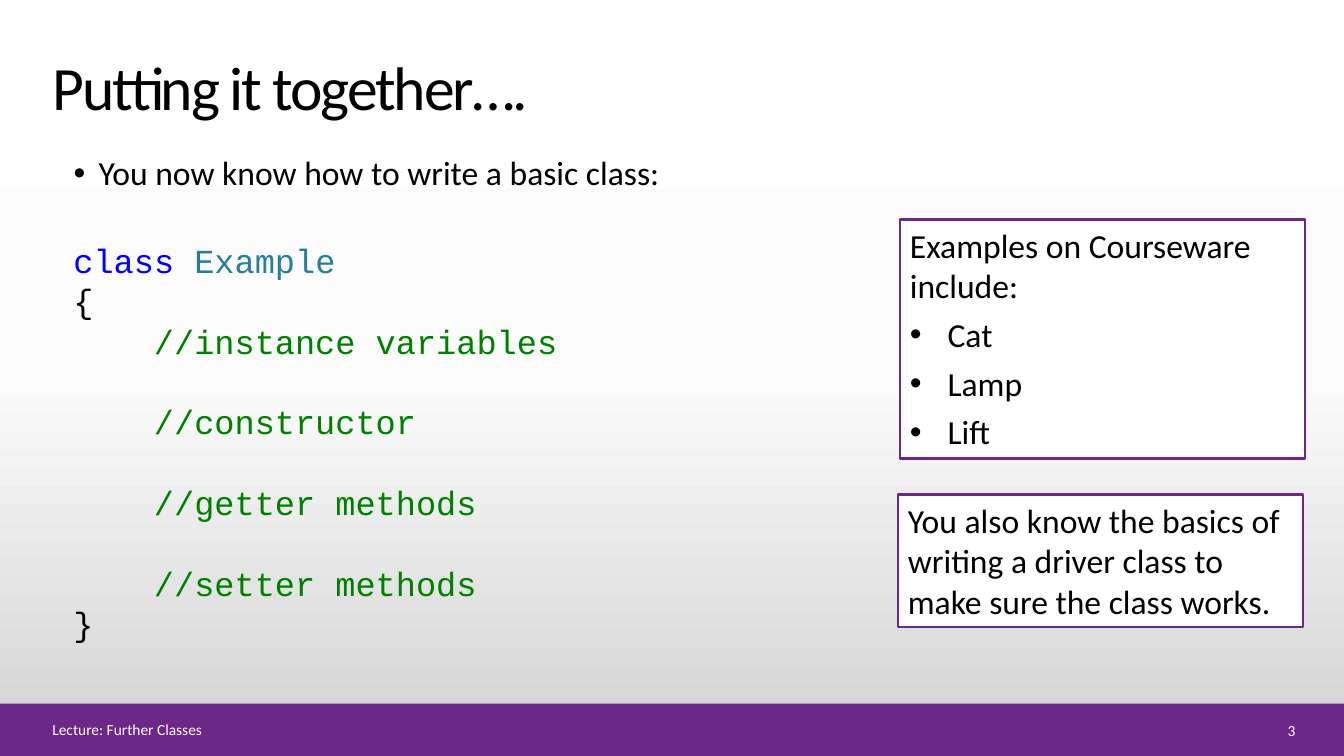
from copy import deepcopy
from dataclasses import dataclass

from lxml import etree
from pptx import Presentation
from pptx.dml.color import RGBColor
from pptx.enum.shapes import MSO_SHAPE
from pptx.enum.text import MSO_ANCHOR, MSO_AUTO_SIZE, PP_ALIGN
from pptx.oxml.ns import qn
from pptx.util import Cm, Pt

RECTANGLE = MSO_SHAPE.RECTANGLE
TOP, MIDDLE, BOTTOM = MSO_ANCHOR.TOP, MSO_ANCHOR.MIDDLE, MSO_ANCHOR.BOTTOM
LEFT, RIGHT = PP_ALIGN.LEFT, PP_ALIGN.RIGHT
NO_AUTOFIT = MSO_AUTO_SIZE.NONE

BLACK, WHITE, PURPLE = "000000", "FFFFFF", "6C2787"
KEYWORD, TYPE_NAME, COMMENT = "0000FF", "267F99", "008000"
CODE_PITCH = 28.8  # points from one code line to the next
CODE_INDENT = 2.03  # four characters, in cm


@dataclass
class Line:
    spans: list[tuple[str, str]]  # text and colour
    indent: float = 0
    before: float = 0
    bullet: bool = False
    align: PP_ALIGN = LEFT
    pitch: float | None = None


@dataclass
class Panel:
    place: tuple[float, float, float, float]  # left, top, width, height in cm
    lines: list[Line]
    size: float = 24
    font: str = "Calibri"
    anchor: MSO_ANCHOR = TOP
    framed: bool = False


def colour(value: str) -> RGBColor:
    return RGBColor.from_string(value)


def apply(target, values: dict) -> None:
    for name, value in values.items():
        setattr(target, name, value)


def place(box, lengths: tuple[float, float, float, float]) -> None:
    apply(box, dict(zip(("left", "top", "width", "height"), map(Cm, lengths))))


def write_line(para, line: Line, panel: Panel) -> None:
    apply(para, {
        "alignment": line.align,
        "space_before": Pt(line.before),
        "line_spacing": Pt(line.pitch) if line.pitch else 1.0,
    })
    settings = para._p.get_or_add_pPr()
    settings.set("marL", str(Cm(line.indent)))
    settings.set("indent", str(-Cm(line.indent) if line.bullet else 0))
    if line.bullet:
        etree.SubElement(settings, qn("a:buFont")).set("typeface", "Arial")
        etree.SubElement(settings, qn("a:buChar")).set("char", "•")
    for text, shade in line.spans:
        span = para.add_run()
        span.text = text
        apply(span.font, {"name": panel.font, "size": Pt(panel.size)})
        span.font.color.rgb = colour(shade)


def fill_panel(box, panel: Panel) -> None:
    place(box, panel.place)
    frame = box.text_frame
    apply(frame, {"word_wrap": True, "auto_size": NO_AUTOFIT, "vertical_anchor": panel.anchor})
    for number, line in enumerate(panel.lines):
        para = frame.add_paragraph() if number else frame.paragraphs[0]
        write_line(para, line, panel)


def add_rectangle(page, lengths: tuple[float, float, float, float], fill: str):
    box = page.shapes.add_shape(RECTANGLE, *map(Cm, lengths))
    box.shadow.inherit = False
    box.fill.solid()
    box.fill.fore_color.rgb = colour(fill)
    box.line.fill.background()
    return box


def add_panel(page, panel: Panel) -> None:
    if panel.framed:
        box = add_rectangle(page, panel.place, WHITE)
        box.line.color.rgb = colour(PURPLE)
        box.line.width = Pt(2)
    else:
        box = page.shapes.add_textbox(*map(Cm, panel.place))
    fill_panel(box, panel)


def paint_background(page) -> None:
    fill = page.background.fill
    fill.gradient()
    fill.gradient_angle = 270
    stops = page.element.find(".//" + qn("a:gsLst"))
    stops.append(deepcopy(stops[-1]))
    shades = ((0, WHITE), (0.5, "FBFBFB"), (1, "D1D1D1"))
    for stop, (position, shade) in zip(fill.gradient_stops, shades):
        stop.position = position
        stop.color.rgb = colour(shade)


def code_line(*spans: tuple[str, str], indent: float = 0, before: float = 0) -> Line:
    return Line(list(spans), indent, before, pitch=CODE_PITCH)


TITLE = Panel((1.07, 1.02, 26.42, 2.21), [Line([("Putting it together….", BLACK)])],
              size=44, anchor=BOTTOM)
BODY = Panel((1.6, 3.71, 22.86, 2.21),
             [Line([("You now know how to write a basic class:", BLACK)], 0.63, 10, True)])

# Class members after the first are set apart by one empty line's height
MEMBERS = ["//instance variables", "//constructor", "//getter methods", "//setter methods"]
CODE = Panel((1.6, 5.92, 16.94, 10.52), [
    code_line(("class ", KEYWORD), ("Example", TYPE_NAME)),
    code_line(("{", BLACK)),
    *(code_line((member, COMMENT), indent=CODE_INDENT, before=CODE_PITCH if number else 0)
      for number, member in enumerate(MEMBERS)),
    code_line(("}", BLACK)),
], font="Courier New")

DRIVER = Panel((22.63, 12.47, 10.21, 3.33), [
    Line([("You also know the basics of writing a driver class to "
           "make sure the class works.", BLACK)], before=6),
], framed=True)
EXAMPLES = Panel((22.68, 5.54, 10.21, 6.02), [
    Line([("Examples on Courseware include:", BLACK)], before=6),
    *(Line([(name, BLACK)], 0.95, 6, True) for name in ("Cat", "Lamp", "Lift")),
], framed=True)

FOOTER = Panel((1.07, 18.08, 29.59, 0.58), [Line([("Lecture: Further Classes", WHITE)])],
               size=11, anchor=MIDDLE)
PAGE_NUMBER = Panel((31.5, 18.11, 1.4, 0.61), [Line([("3", WHITE)], align=RIGHT)],
                    size=11, anchor=MIDDLE)


def main() -> None:
    deck = Presentation()
    apply(deck, {"slide_width": Cm(33.87), "slide_height": Cm(19.05)})
    page = deck.slides.add_slide(deck.slide_layouts[1])
    paint_background(page)

    # Footer band
    add_rectangle(page, (0, 17.73, 33.87, 1.32), PURPLE)

    # Title and opening bullet
    title, body = page.shapes.title, page.placeholders[1]
    fill_panel(title, TITLE)
    fill_panel(body, BODY)
    title.text_frame.paragraphs[0].runs[0].font._element.set("spc", "-150")

    # Code, side notes and footer texts
    for panel in (DRIVER, CODE, EXAMPLES, FOOTER, PAGE_NUMBER):
        add_panel(page, panel)

    deck.save("out.pptx")


if __name__ == "__main__":
    main()
